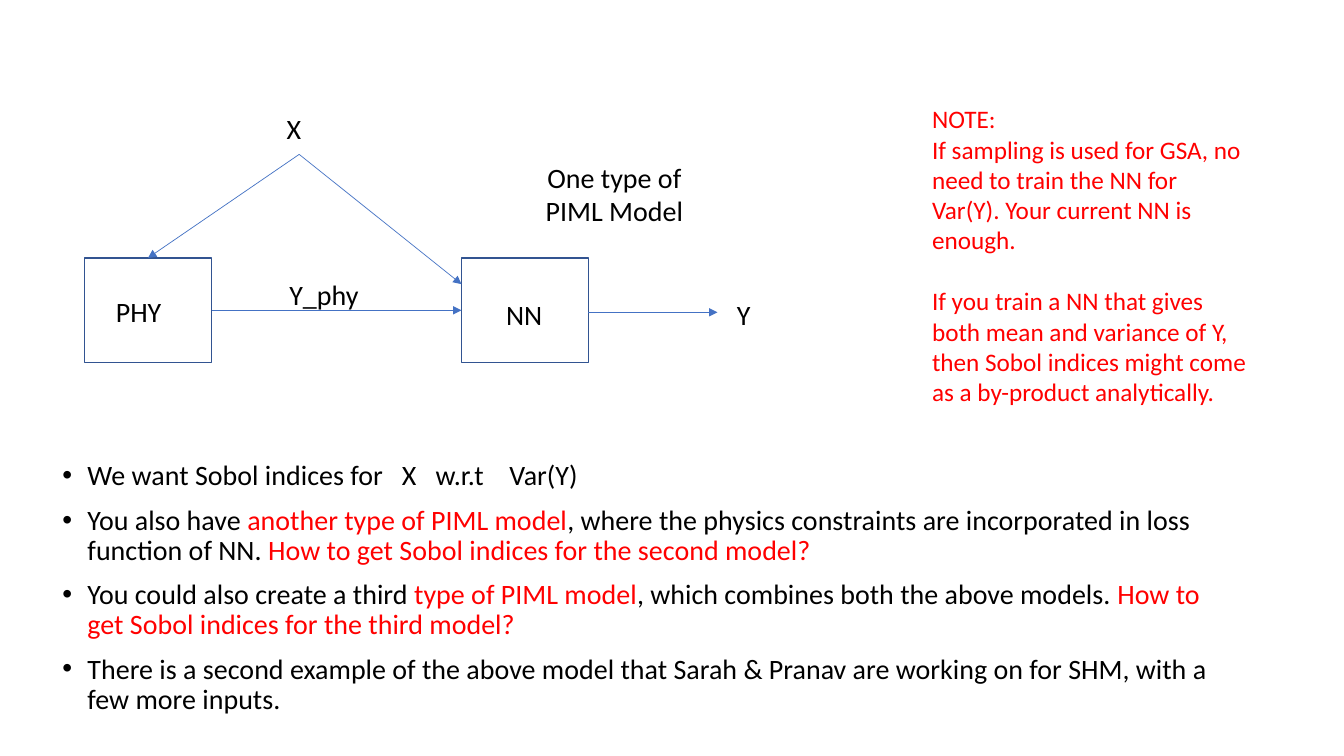
from lxml import etree
from pptx import Presentation
from pptx.dml.color import RGBColor
from pptx.enum.shapes import MSO_CONNECTOR, MSO_SHAPE
from pptx.enum.text import PP_ALIGN
from pptx.oxml.ns import qn
from pptx.util import Cm, Pt

RECTANGLE = MSO_SHAPE.RECTANGLE
STRAIGHT = MSO_CONNECTOR.STRAIGHT
LEFT, CENTER = PP_ALIGN.LEFT, PP_ALIGN.CENTER

COLORS = {"text": "000000", "accent": "FF0000", "box": "FFFFFF",
          "border": "325491", "arrow": "4472C4"}
FONT = "Calibri"

# Content: each paragraph is a list of (text, colour name) runs
BULLETS = [
    [("We want Sobol indices for\tX\tw.r.t\tVar(Y)", "text")],
    [("You also have ", "text"), ("another type of PIML model", "accent"),
     (", where the physics constraints are incorporated in loss function of NN. ", "text"),
     ("How to get Sobol indices for the second model?", "accent")],
    [("You could also create a third ", "text"), ("type of PIML model", "accent"),
     (", which combines both the above models. ", "text"),
     ("How to get Sobol indices for the third model?", "accent")],
    [("There is a second example of the above model that Sarah & Pranav are "
      "working on for SHM, with a few more inputs.", "text")],
]
NOTE = [
    [("NOTE:", "accent")],
    [("If sampling is used for GSA, no need to train the NN for Var(Y). "
      "Your current NN is enough.", "accent")],
    [("If you train a NN that gives both mean and variance of Y, then Sobol "
      "indices might come as a by-product analytically.", "accent")],
]
# Label, left, top, width, height in cm
LABELS = [
    ("X", 6.65, 2.69, 1.52, 1.12),
    ("PHY", 2.49, 7.29, 2.01, 1.12),
    ("NN", 12.45, 7.37, 1.52, 1.12),
    ("Y_phy", 6.91, 6.86, 2.51, 1.12),
    ("Y", 17.98, 7.37, 1.52, 1.12),
    ("One type of PIML Model", 13.06, 3.91, 4.85, 1.96),
]
NOTE_AREA = (23.24, 2.49, 8.51, 7.95)
BULLET_AREA = (1.32, 11.51, 29.77, 6.73)
TAB_STOPS = (8.56, 9.41, 11.27)
INDENT = 0.635

# Diagram geometry in cm
BOX_WIDTH, BOX_HEIGHT, BOX_TOP = 3.2, 2.64, 6.5
PHY_LEFT, NN_LEFT = 2.13, 11.63
BOX_MIDDLE = BOX_TOP + BOX_HEIGHT / 2
INPUT_POINT = (7.54, 3.89)
OUTPUT_LEVEL, OUTPUT_END = 7.87, 18.08
ARROWS = [
    (INPUT_POINT, (PHY_LEFT + BOX_WIDTH / 2, BOX_TOP)),
    (INPUT_POINT, (NN_LEFT, BOX_TOP + BOX_HEIGHT / 4)),
    ((PHY_LEFT + BOX_WIDTH, BOX_MIDDLE), (NN_LEFT, BOX_MIDDLE)),
    ((NN_LEFT + BOX_WIDTH, OUTPUT_LEVEL), (OUTPUT_END, OUTPUT_LEVEL)),
]


def color(name):
    return RGBColor.from_string(COLORS[name])


def lengths(values):
    return [Cm(value) for value in values]


def apply_format(target, values):
    for name, value in values.items():
        setattr(target, name, value)


def add_text(slide, area, paragraphs, size, **paragraph_format):
    frame = slide.shapes.add_textbox(*lengths(area)).text_frame
    frame.word_wrap = True
    for index, runs in enumerate(paragraphs):
        paragraph = frame.paragraphs[0] if index == 0 else frame.add_paragraph()
        apply_format(paragraph, paragraph_format)
        for text, color_name in runs:
            run = paragraph.add_run()
            run.text = text
            apply_format(run.font, {"name": FONT, "size": Pt(size)})
            run.font.color.rgb = color(color_name)
    return frame


def add_bullet(paragraph):
    properties = paragraph._p.get_or_add_pPr()
    properties.set("marL", str(Cm(INDENT)))
    properties.set("indent", str(-Cm(INDENT)))
    etree.SubElement(properties, qn("a:buFont"), typeface="Arial")
    etree.SubElement(properties, qn("a:buChar"), char="•")
    return properties


def add_box(slide, left):
    shape = slide.shapes.add_shape(
        RECTANGLE, *lengths((left, BOX_TOP, BOX_WIDTH, BOX_HEIGHT)))
    shape.shadow.inherit = False
    shape.fill.solid()
    shape.fill.fore_color.rgb = color("box")
    shape.line.color.rgb = color("border")
    shape.line.width = Pt(1)


def add_arrow(slide, start, end):
    connector = slide.shapes.add_connector(STRAIGHT, *lengths(start + end))
    connector.line.color.rgb = color("arrow")
    connector.line.width = Pt(0.5)
    etree.SubElement(connector.line._get_or_add_ln(), qn("a:tailEnd"), type="triangle")
    etree.SubElement(connector._element.spPr, qn("a:effectLst"))


def main():
    presentation = Presentation()
    apply_format(presentation, {"slide_width": Cm(33.87), "slide_height": Cm(19.05)})
    slide = presentation.slides.add_slide(presentation.slide_layouts[6])

    # Bulleted questions, with the first line's terms set on tab stops
    bullets = add_text(slide, BULLET_AREA, BULLETS, 20,
                       line_spacing=0.9, space_before=Pt(10))
    properties = [add_bullet(paragraph) for paragraph in bullets.paragraphs]
    tab_list = etree.SubElement(properties[0], qn("a:tabLst"))
    for position in TAB_STOPS:
        etree.SubElement(tab_list, qn("a:tab"), pos=str(Cm(position)), algn="l")

    # Model diagram
    for left in (PHY_LEFT, NN_LEFT):
        add_box(slide, left)
    for start, end in ARROWS:
        add_arrow(slide, start, end)
    for text, *area in LABELS:
        add_text(slide, area, [[(text, "text")]], 20, alignment=CENTER)

    # Note, with a one-line gap before its last paragraph
    note = add_text(slide, NOTE_AREA, NOTE, 18, alignment=LEFT)
    note.paragraphs[-1].space_before = Pt(22)

    presentation.save("out.pptx")


if __name__ == "__main__":
    main()
